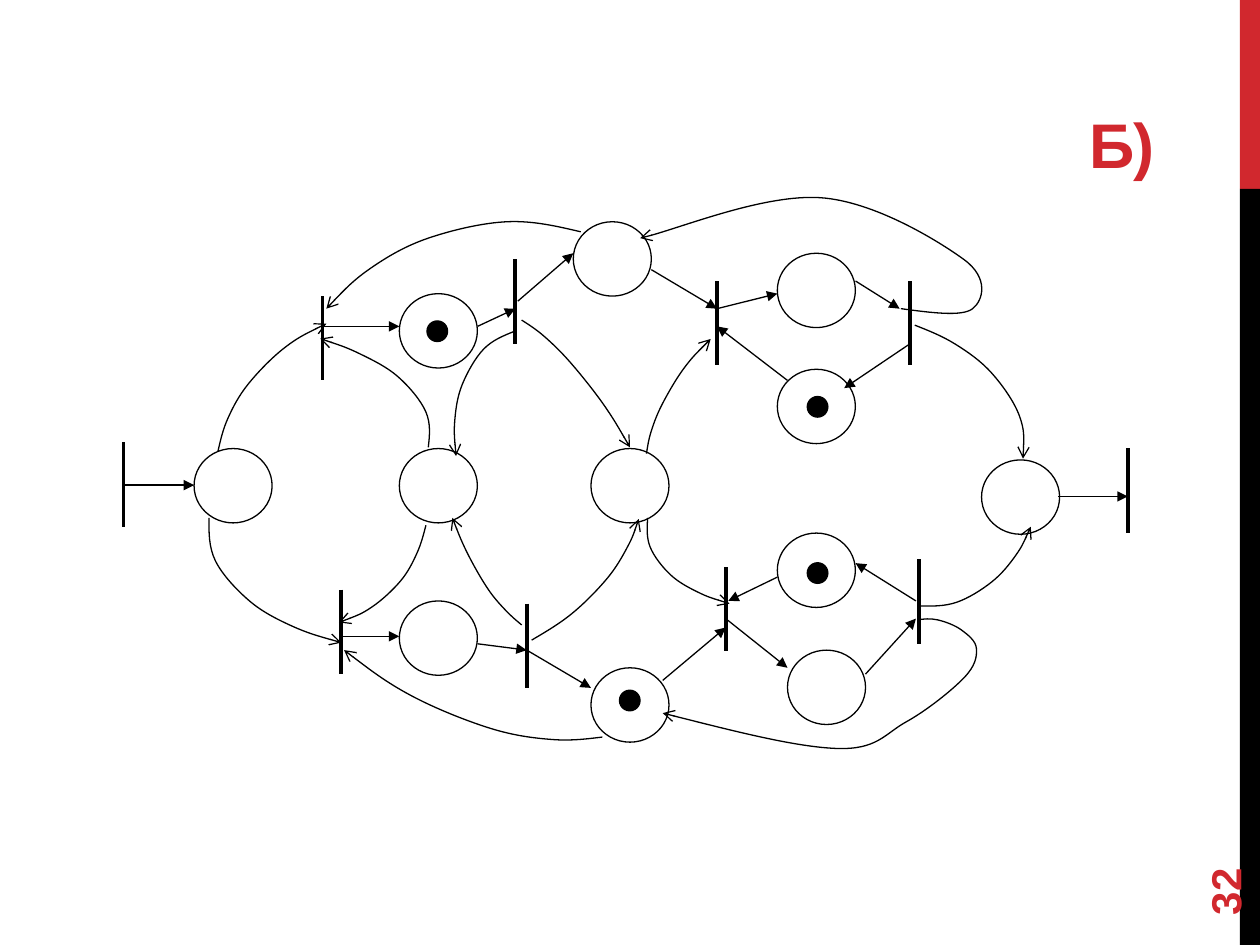
"""Draw a Petri net of places, bars, tokens and arcs on one slide."""
from dataclasses import dataclass
from itertools import chain
from typing import NamedTuple, Optional

from lxml.etree import SubElement
from pptx import Presentation
from pptx.dml.color import RGBColor
from pptx.enum.shapes import MSO_CONNECTOR, MSO_SHAPE
from pptx.enum.text import MSO_ANCHOR, PP_ALIGN
from pptx.oxml.ns import qn
from pptx.util import Pt


@dataclass(frozen=True)
class Theme:
    red: RGBColor = RGBColor(0xD1, 0x28, 0x2E)
    black: RGBColor = RGBColor(0, 0, 0)
    white: RGBColor = RGBColor(255, 255, 255)
    font: str = "Arial"
    title: float = 36
    number: float = 24
    thin: float = 0.75
    thick: float = 2.25


class Spot(NamedTuple):
    x: float
    y: float


class Box(NamedTuple):
    x: float
    y: float
    w: float
    h: float


class Arc(NamedTuple):
    start: Spot
    end: Spot


class Curve(NamedTuple):
    knots: list[tuple[float, float]]
    hook: Optional[Spot] = None


class Label(NamedTuple):
    text: str
    box: Box
    size: float
    align: PP_ALIGN
    anchor: MSO_ANCHOR
    turn: float = 0
    track: int = 0


THEME = Theme()
PLACE = Spot(44.6, 42.5)
TOKEN = Spot(11.8, 11.8)
BAR = 48.2

PLACES = [
    Spot(110.9, 256.3), Spot(337.7, 256.3), Spot(228.2, 167.8), Spot(327.6, 126.7),
    Spot(228.2, 256.3), Spot(228.2, 343.4), Spot(337.7, 381.6), Spot(444.2, 144.7),
    Spot(444.2, 211), Spot(444.2, 304.6), Spot(450, 371.5), Spot(560.9, 262.8),
]
BARS = [
    Spot(70.6, 252.7), Spot(184.3, 169.2), Spot(195.1, 337), Spot(644.4, 256.3),
    Spot(301, 344.9), Spot(294.5, 148.3), Spot(409.7, 160.6), Spot(414.7, 324),
    Spot(519.8, 160.6), Spot(524.9, 319.7),
]
TOKENS = [Spot(461.3, 226.6), Spot(461.3, 321.6), Spot(354, 394.4), Spot(244, 183.4)]
ARCS = [
    Arc(Spot(70.6, 277.2), Spot(110.9, 277.2)),
    Arc(Spot(604.8, 283.7), Spot(644.4, 283.7)),
    Arc(Spot(184.3, 186.5), Spot(228.2, 186.5)),
    Arc(Spot(195.1, 363.6), Spot(228.2, 363.6)),
    Arc(Spot(272.9, 367.9), Spot(301, 371.5)),
    Arc(Spot(272.9, 186.5), Spot(294.5, 176.4)),
    Arc(Spot(372.2, 154.1), Spot(409.7, 176.4)),
    Arc(Spot(409.7, 176.4), Spot(444.2, 167.8)),
    Arc(Spot(488.9, 160.6), Spot(514.1, 176.4)),
    Arc(Spot(519.8, 196.6), Spot(482.4, 221.8)),
    Arc(Spot(450, 217.4), Spot(409.7, 186.5)),
    Arc(Spot(295.9, 172.1), Spot(327.6, 144.7)),
    Arc(Spot(523.4, 343.4), Spot(488.9, 321.8)),
    Arc(Spot(494.6, 385.2), Spot(523.4, 353.5)),
    Arc(Spot(444.2, 329.8), Spot(416.2, 343.4)),
    Arc(Spot(414.7, 353.5), Spot(450, 381.6)),
    Arc(Spot(378.7, 388.8), Spot(414.7, 358.6)),
    Arc(Spot(301, 371.5), Spot(337.7, 393.1)),
]
CURVES = [
    Curve([(293.8, 189.4), (276.5, 199.4), (264.2, 219.6), (259.9, 239.8), (260.6, 260.6)]),
    Curve([(303.8, 365.8), (326.9, 350.6), (347, 330.5), (358.6, 312.5), (365, 296.6)]),
    Curve([(119.5, 295.9), (123.1, 320.4), (142.6, 343.4), (167, 357.8), (195.1, 367.2)]),
    Curve([(298.1, 357.1), (288.7, 348.5), (278.6, 336.2), (267.1, 316.1), (258.5, 295.9)]),
    Curve([(525.6, 346.3), (546.5, 344.2), (566.6, 332.6), (580.3, 317.5), (589, 301)]),
    Curve([(331.9, 132.5), (290.2, 126.7), (244.8, 136.1), (211.7, 153.4), (186.5, 176.4)]),
    Curve([(124.6, 257.8), (130.3, 239), (141.8, 219.6), (162.7, 198.7), (186.5, 185)]),
    Curve([(370.1, 295.9), (371.5, 312.5), (383, 328.3), (398.9, 338.4), (416.9, 344.9)]),
    Curve([(244.8, 255.6), (243.4, 235.4), (227.5, 215.3), (205.9, 202.3), (183, 193.5)]),
    Curve([(369.4, 259.2), (372.2, 246.2), (378.7, 230.4), (391, 210.2), (406.1, 193.7)]),
    Curve([(243.4, 300.2), (238.3, 316.1), (229, 331.9), (212.4, 347), (193.7, 355.7)]),
    Curve([(298.1, 182.9), (311, 192.2), (326.2, 207.4), (344.9, 231.1), (360, 255.6)]),
    Curve([(344.2, 421.2), (315.4, 422.6), (280.1, 416.2), (234.7, 397.4), (196.6, 371.5)]),
    Curve([(522.7, 185.8), (545.8, 196.6), (566.6, 213.1), (582.5, 237.6), (584.6, 262.1)]),
    Curve([(514.8, 176.4), (555.8, 176.4), (550.8, 148.3), (468.7, 113), (365.8, 136.1)],
          Spot(383, 132.5)),
    Curve([(524.2, 354.2), (535.7, 354.2), (549.4, 360), (558, 370.8), (550.8, 387.4),
           (517.7, 412.6), (478.1, 427.7), (378.7, 407.5)]),
]
LABELS = [
    Label("Б)", Box(36.7, 47.5, 630, 59.8), THEME.title, PP_ALIGN.RIGHT,
          MSO_ANCHOR.BOTTOM, track=-60),
    Label("32", Box(648, 463.7, 103.7, 28.8), THEME.number, PP_ALIGN.LEFT,
          MSO_ANCHOR.MIDDLE, turn=270),
]


def stroke(shape, width: float, tip: str = "") -> None:
    """Give a shape a black line, with an arrow tip if named."""
    shape.line.color.rgb = THEME.black
    shape.line.width = Pt(width)
    if tip:
        SubElement(shape._element.spPr.find(qn("a:ln")), qn("a:tailEnd"), type=tip)


def solid(slide, kind: MSO_SHAPE, box: Box, fill: RGBColor, edge: bool = False) -> None:
    """Add a filled preset shape, outlined on request."""
    shape = slide.shapes.add_shape(kind, *map(Pt, box))
    shape.shadow.inherit = False
    shape.fill.solid()
    shape.fill.fore_color.rgb = fill
    if edge:
        stroke(shape, THEME.thin)
    else:
        shape.line.fill.background()


def link(slide, arc: Arc, width: float, tip: str = "") -> None:
    """Add a straight line."""
    line = slide.shapes.add_connector(MSO_CONNECTOR.STRAIGHT, *map(Pt, chain(*arc)))
    stroke(line, width, tip)
    SubElement(line._element.spPr, qn("a:effectLst"))


def middle(one: Spot, two: Spot) -> Spot:
    """Return the point halfway between two others."""
    return Spot((one.x + two.x) / 2, (one.y + two.y) / 2)


def smooth(curve: Curve) -> list[Spot]:
    """Return the Bezier points, three a segment, through the knots."""
    knots = [Spot(*knot) for knot in curve.knots]
    grips = []
    for prev, knot, after in zip(knots, knots[1:], knots[2:]):
        dx, dy = (after.x - prev.x) / 6, (after.y - prev.y) / 6
        grips.append((Spot(knot.x - dx, knot.y - dy), knot, Spot(knot.x + dx, knot.y + dy)))
    first = middle(knots[0], grips[0][0])
    last = curve.hook or middle(grips[-1][2], knots[-1])
    return [first, *chain(*grips), last, knots[-1]]


def bend(slide, curve: Curve) -> None:
    """Add a smooth curve with an open arrow at its end."""
    pen = slide.shapes.build_freeform(*map(Pt, curve.knots[0]))
    pen.add_line_segments([tuple(map(Pt, spot)) for spot in smooth(curve)], close=False)
    shape = pen.convert_to_shape()
    route = shape._element.find(".//" + qn("a:path"))
    steps = route.findall(qn("a:lnTo"))
    for i in range(0, len(steps), 3):
        cubic = SubElement(route, qn("a:cubicBezTo"))
        for step in steps[i:i + 3]:
            cubic.append(step[0])
            route.remove(step)
    shape.shadow.inherit = False
    shape.fill.background()
    stroke(shape, THEME.thin, "arrow")


def write(slide, label: Label) -> None:
    """Add a bold red label."""
    shape = slide.shapes.add_textbox(*map(Pt, label.box))
    shape.rotation = label.turn
    frame = shape.text_frame
    frame.word_wrap = True
    frame.vertical_anchor = label.anchor
    para = frame.paragraphs[0]
    para.alignment = label.align
    run = para.add_run()
    run.text = label.text
    run.font.name, run.font.size, run.font.bold = THEME.font, Pt(label.size), True
    run.font.color.rgb = THEME.red
    if label.track:
        run._r.get_or_add_rPr().set("spc", str(label.track))


def main() -> None:
    """Build and save the slide."""
    deck = Presentation()
    deck.slide_width, deck.slide_height = Pt(720), Pt(540)
    slide = deck.slides.add_slide(deck.slide_layouts[6])
    solid(slide, MSO_SHAPE.RECTANGLE, Box(708.5, 0, 11.5, 108), THEME.red)
    solid(slide, MSO_SHAPE.RECTANGLE, Box(708.5, 108, 11.5, 432), THEME.black)
    for spot in PLACES:
        solid(slide, MSO_SHAPE.OVAL, Box(*spot, *PLACE), THEME.white, True)
    for spot in BARS:
        link(slide, Arc(spot, Spot(spot.x, spot.y + BAR)), THEME.thick)
    for arc in ARCS:
        link(slide, arc, THEME.thin, "triangle")
    for curve in CURVES:
        bend(slide, curve)
    for spot in TOKENS:
        solid(slide, MSO_SHAPE.OVAL, Box(*spot, *TOKEN), THEME.black, True)
    for label in LABELS:
        write(slide, label)
    deck.save("out.pptx")


if __name__ == "__main__":
    main()
